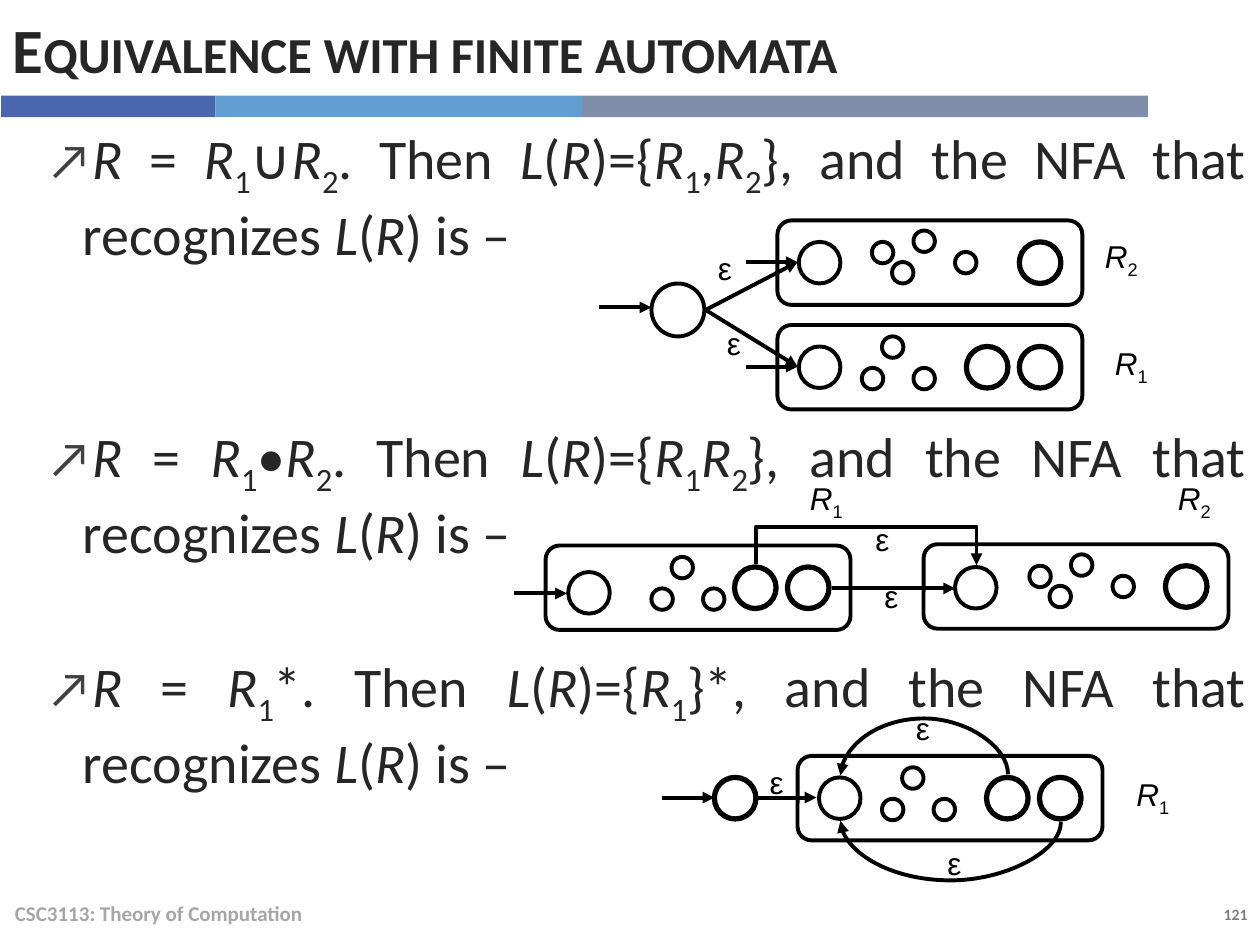
from dataclasses import dataclass

from lxml import etree
from pptx import Presentation
from pptx.dml.color import RGBColor
from pptx.enum.shapes import MSO_CONNECTOR, MSO_SHAPE
from pptx.enum.text import MSO_ANCHOR, PP_ALIGN
from pptx.oxml.ns import qn
from pptx.util import Inches, Pt

STRAIGHT, ELBOW, CURVE = MSO_CONNECTOR.STRAIGHT, MSO_CONNECTOR.ELBOW, MSO_CONNECTOR.CURVE
RECT, ROUNDED, OVAL = MSO_SHAPE.RECTANGLE, MSO_SHAPE.ROUNDED_RECTANGLE, MSO_SHAPE.OVAL
LEFT, RIGHT, JUSTIFY = PP_ALIGN.LEFT, PP_ALIGN.RIGHT, PP_ALIGN.JUSTIFY
TOP, MIDDLE = MSO_ANCHOR.TOP, MSO_ANCHOR.MIDDLE


@dataclass(frozen=True)
class Theme:
    body_font: str = "Calibri"
    label_font: str = "Arial"
    ink: str = "262626"
    bullet: str = "404040"
    diagram: str = "000000"
    footer: str = "A6A6A6"
    number: str = "808080"
    bars: tuple = ("4A66AC", "629DD1", "7F8FA9")
    title_size: float = 36
    body_size: float = 32
    label_size: float = 18
    footer_size: float = 12
    number_size: float = 9
    line: float = 2.25
    accept_line: float = 3


THEME = Theme()

# Sizes and offsets inside an automaton frame, in inches
FRAME_W, FRAME_H = 2.42, 0.67
STATE, DOT = 0.33, 0.17
R1_DOTS = ((0.83, 0.09), (0.67, 0.34), (1.08, 0.34))
R2_DOTS = ((0.75, 0.17), (0.91, 0.33), (1.08, 0.08), (1.41, 0.25))
R1_ACCEPTS, R2_ACCEPTS = (1.5, 1.92), (1.92,)

# In rich text "|" separates runs, "/" opens an italic run, "_" a subscript
RULES = (
    ("/R| = |/R|_1|∪|/R|_2|. Then |/L|(|/R|)={|/R|_1|,|/R|_2|}, and the NFA that recognizes "
     "|/L|(|/R|) is –", 0),
    ("/R| = |/R|_1|•|/R|_2|. Then |/L|(|/R|)={|/R|_1|/R|_2|}, and the NFA that recognizes "
     "|/L|(|/R|) is –", 88),
    ("/R| = |/R|_1|*. Then |/L|(|/R|)={|/R|_1|}*, and the NFA that recognizes "
     "|/L|(|/R|) is –", 49.5),
)
R1, R2, EPSILON = "/R|_1", "/R|_2", "ε"


def write(paragraph, text, *, size, color, font=THEME.body_font, bold=False,
          align=LEFT, small_caps=False):
    paragraph.alignment = align
    for piece in text.split("|"):
        run = paragraph.add_run()
        run.text = piece.lstrip("/_")
        run.font.name, run.font.size, run.font.bold = font, Pt(size), bold
        run.font.italic = piece.startswith("/")
        run.font.color.rgb = RGBColor.from_string(color)
        properties = run.font._element
        if piece.startswith("_"):
            properties.set("baseline", "-25000")
        if small_caps:
            properties.set("cap", "small")


def text_frame(slide, box, anchor=TOP):
    frame = slide.shapes.add_textbox(*map(Inches, box)).text_frame
    frame.word_wrap = True
    frame.vertical_anchor = anchor
    return frame


def label(slide, text, x, y):
    width = 0.33 if text == EPSILON else 0.58
    write(text_frame(slide, (x, y, width, 0.4)).paragraphs[0], text,
          size=THEME.label_size, color=THEME.diagram, font=THEME.label_font)


def outline(slide, kind, box, weight=THEME.line):
    shape = slide.shapes.add_shape(kind, *map(Inches, box))
    shape.shadow.inherit = False
    shape.fill.background()
    shape.line.color.rgb = RGBColor.from_string(THEME.diagram)
    shape.line.width = Pt(weight)


def state(slide, x, y, size=STATE, weight=THEME.line):
    outline(slide, OVAL, (x, y, size, size), weight)


def arrow(slide, start, end, kind=STRAIGHT):
    connector = slide.shapes.add_connector(kind, *map(Inches, start + end))
    connector.line.color.rgb = RGBColor.from_string(THEME.diagram)
    connector.line.width = Pt(THEME.line)
    etree.SubElement(connector.line._get_or_add_ln(), qn("a:tailEnd"), type="triangle")
    etree.SubElement(connector._element.spPr, qn("a:effectLst"))
    return connector


def loop(slide, kind, x_from, x_to, y, rise):
    """Arrow that leaves and re-enters at height y, bulging up by rise (down if negative)."""
    depth, span = 0.01, abs(x_to - x_from)
    connector = arrow(slide, (0, 0), (depth, span), kind)
    connector.left = Inches((x_from + x_to - depth) / 2)
    connector.top = Inches(y - span / 2)
    transform = connector._element.spPr.find(qn("a:xfrm"))
    transform.set("rot", str((90 if rise > 0 else 270) * 60000))
    if (rise > 0) == (x_to > x_from):
        transform.set("flipV", "1")
    geometry = connector._element.spPr.find(qn("a:prstGeom"))
    bend = round(-abs(rise) / depth * 100000)
    etree.SubElement(geometry.find(qn("a:avLst")), qn("a:gd"), name="adj1", fmla=f"val {bend}")


def automaton(slide, x, y, dots, accepts, start=(0.17, 0.17), dot_shift=0.0):
    outline(slide, ROUNDED, (x, y, FRAME_W, FRAME_H))
    state(slide, x + start[0], y + start[1])
    for dx, dy in dots:
        state(slide, x + dx + dot_shift, y + dy, DOT)
    for dx in accepts:
        state(slide, x + dx, y + 0.17, weight=THEME.accept_line)


def add_header(slide, x, y, width, height):
    title = slide.shapes.title
    title.left, title.top, title.width, title.height = map(Inches, (x, y, width, height))
    title.text_frame.vertical_anchor = MIDDLE
    write(title.text_frame.paragraphs[0], "Equivalence with finite automata",
          size=THEME.title_size, color=THEME.ink, bold=True, small_caps=True)
    # Coloured rule under the title
    left = x + 0.01
    for color, bar_width in zip(THEME.bars, (1.7, 2.91, 4.49)):
        bar = slide.shapes.add_shape(
            RECT, *map(Inches, (left, y + height, bar_width, 0.17)))
        bar.shadow.inherit = False
        bar.fill.solid()
        bar.fill.fore_color.rgb = RGBColor.from_string(color)
        bar.line.fill.background()
        left += bar_width


def add_rules(slide, box):
    frame = text_frame(slide, box)
    for index, (rule, gap) in enumerate(RULES):
        paragraph = frame.add_paragraph() if index else frame.paragraphs[0]
        properties = paragraph._p.get_or_add_pPr()
        properties.set("marL", str(Inches(0.56)))
        properties.set("indent", str(Inches(-0.28)))
        color = etree.SubElement(properties, qn("a:buClr"))
        etree.SubElement(color, qn("a:srgbClr"), val=THEME.bullet)
        etree.SubElement(properties, qn("a:buSzPct"), val="90000")
        etree.SubElement(properties, qn("a:buFont"), typeface=THEME.body_font)
        etree.SubElement(properties, qn("a:buChar"), char="↗")
        if gap:
            paragraph.space_before = Pt(gap)
        write(paragraph, rule, size=THEME.body_size, color=THEME.ink, align=JUSTIFY)


def add_union(slide, x, y):
    frame_x = x + 1.42
    state(slide, x + 0.42, y + 0.5, 0.42)
    arrow(slide, (x, y + 0.69), (x + 0.42, y + 0.69))
    for top, dots, accepts in ((y, R2_DOTS, R2_ACCEPTS), (y + 0.83, R1_DOTS, R1_ACCEPTS)):
        automaton(slide, frame_x, top, dots, accepts)
        entry = (frame_x + 0.16, top + 0.33)
        arrow(slide, (x + 0.85, y + 0.71), entry)
        arrow(slide, (x + 1.17, entry[1]), entry)
    for text, dx, dy in ((EPSILON, 0.85, 0.18), (EPSILON, 0.92, 0.77),
                         (R2, 3.92, 0.08), (R1, 4, 0.93)):
        label(slide, text, x + dx, y + dy)


def add_concatenation(slide, x, y):
    automaton(slide, x + 0.25, y + 0.58, R1_DOTS, R1_ACCEPTS, (0.18, 0.21), 0.17)
    automaton(slide, x + 3.25, y + 0.57, R2_DOTS, R2_ACCEPTS, (0.25, 0.18), 0.09)
    arrow(slide, (x, y + 0.96), (x + 0.42, y + 0.96))
    arrow(slide, (x + 2.52, y + 0.92), (x + 3.5, y + 0.92))
    loop(slide, ELBOW, x + 1.92, x + 3.67, y + 0.73, 0.3)
    for text, dx, dy in ((EPSILON, 2.84, 0.78), (EPSILON, 2.77, 0.33),
                         (R1, 2.25, 0), (R2, 5.17, 0)):
        label(slide, text, x + dx, y + dy)


def add_star(slide, x, y):
    automaton(slide, x + 1.08, y + 0.42, R1_DOTS, R1_ACCEPTS)
    state(slide, x + 0.42, y + 0.59, weight=THEME.accept_line)
    for start, end in ((0, 0.42), (0.77, 1.23)):
        arrow(slide, (x + start, y + 0.75), (x + end, y + 0.75))
    loop(slide, CURVE, x + 2.75, x + 1.42, y + 0.57, 0.45)
    loop(slide, CURVE, x + 3.17, x + 1.42, y + 0.94, -0.47)
    for text, dx, dy in ((EPSILON, 0.76, 0.43), (EPSILON, 2.17, 1.07),
                         (EPSILON, 1.92, 0), (R1, 3.67, 0.52)):
        label(slide, text, x + dx, y + dy)


def add_footer(slide, x, y):
    write(text_frame(slide, (x, y, 6.7, 0.4), MIDDLE).paragraphs[0],
          "CSC3113: Theory of Computation",
          size=THEME.footer_size, color=THEME.footer, bold=True)
    write(text_frame(slide, (x + 8.71, y + 0.08, 1.27, 0.25)).paragraphs[0], "121",
          size=THEME.number_size, color=THEME.number, bold=True, align=RIGHT)


def main():
    deck = Presentation()
    deck.slide_width, deck.slide_height = Inches(10), Inches(7.5)
    slide = deck.slides.add_slide(deck.slide_layouts[5])
    add_header(slide, 0, 0, 9.1, 0.76)
    add_rules(slide, (0, 0.93, 9.99, 6.11))
    add_union(slide, 4.75, 1.75)
    add_concatenation(slide, 4.08, 3.75)
    add_star(slide, 5.25, 5.58)
    add_footer(slide, 0.02, 7.05)
    deck.save("out.pptx")


if __name__ == "__main__":
    main()
